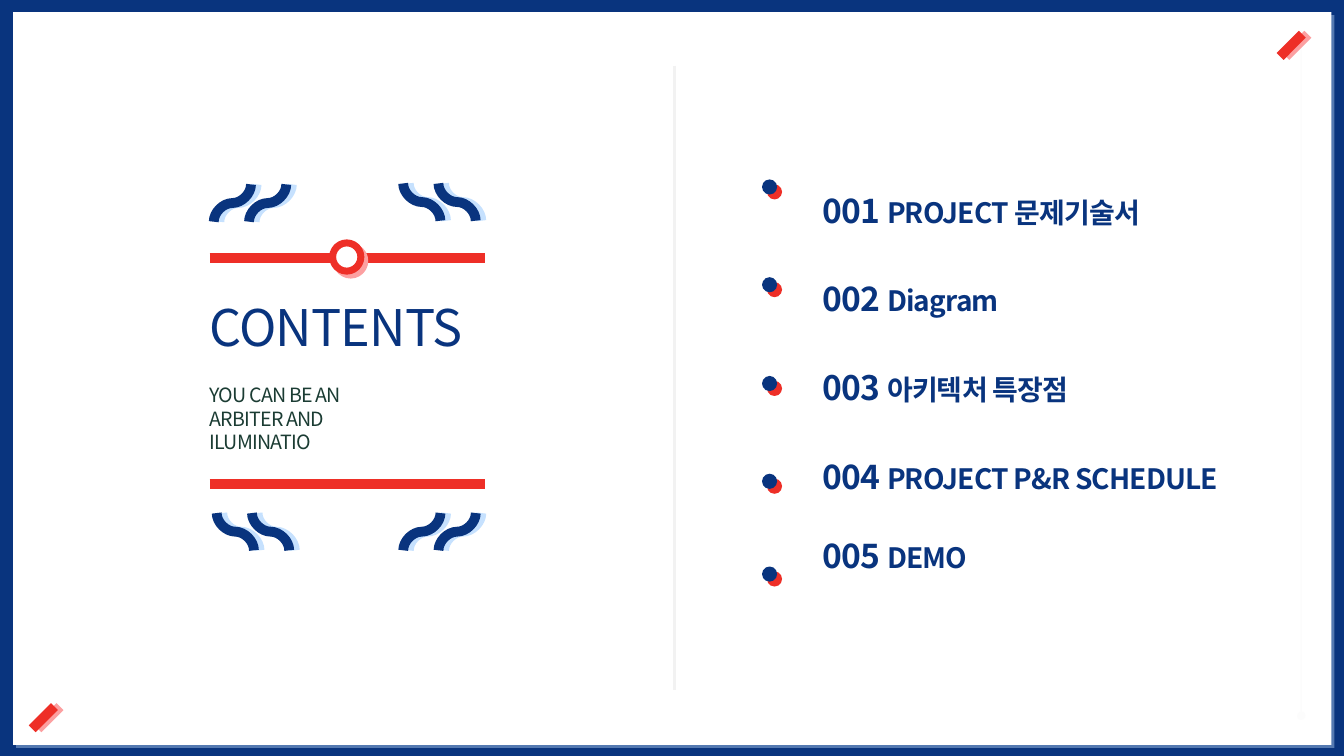
from dataclasses import dataclass
from typing import NamedTuple

from pptx import Presentation
from pptx.dml.color import RGBColor
from pptx.enum.shapes import MSO_CONNECTOR, MSO_SHAPE
from pptx.enum.text import MSO_ANCHOR, PP_ALIGN
from pptx.oxml.ns import qn
from pptx.oxml.xmlchemy import OxmlElement
from pptx.util import Emu, Pt

STRAIGHT, CURVE = MSO_CONNECTOR.STRAIGHT, MSO_CONNECTOR.CURVE
RECT, OVAL = MSO_SHAPE.RECTANGLE, MSO_SHAPE.OVAL
MIDDLE, LEFT, JUSTIFY = MSO_ANCHOR.MIDDLE, PP_ALIGN.LEFT, PP_ALIGN.JUSTIFY

NAVY = RGBColor(0x09, 0x34, 0x7E)
RED = RGBColor(0xEE, 0x2F, 0x27)
PINK = RGBColor(0xFC, 0xA0, 0xA1)
SKY = RGBColor(0xC6, 0xE1, 0xFE)
GREY = RGBColor(0xF2, 0xF2, 0xF2)
GREEN = RGBColor(0x1B, 0x3C, 0x33)
WHITE = RGBColor(0xFF, 0xFF, 0xFF)

FONT = "Noto Sans CJK KR"
PX = 9144  # 100 px to the inch
CURL = 37  # side of one curl
DOT = 15


class Shadow(NamedTuple):
    color: RGBColor
    dist: int
    angle: int = 0
    alpha: int = 100


@dataclass
class Line:
    x1: int
    y1: int
    x2: int
    y2: int
    color: RGBColor = RED
    width: float = 7
    shadow: Shadow | None = None
    kind: int = STRAIGHT
    rotation: int = 0
    alpha: int = 100
    ends: str = ""


@dataclass
class Shape:
    kind: int
    x: int
    y: int
    w: int
    h: int
    fill: RGBColor
    shadow: Shadow
    outline: RGBColor | None = None


@dataclass
class Run:
    text: str
    size: int
    color: RGBColor
    bold: bool = False


@dataclass
class Paragraph:
    runs: list[Run]
    align: int = JUSTIFY
    before: float = 0


def px(n: int) -> Emu:
    return Emu(n * PX)


def child(parent, tag: str, **attrs):
    el = OxmlElement(tag)
    for key, value in attrs.items():
        el.set(key, str(value))
    parent.append(el)
    return el


def add_shadow(effects, shadow: Shadow) -> None:
    outer = child(effects, "a:outerShdw", blurRad=0, dist=Pt(shadow.dist),
                  dir=shadow.angle * 60000, algn="tl", rotWithShape=0)
    color = child(outer, "a:srgbClr", val=shadow.color)
    child(color, "a:alpha", val=shadow.alpha * 1000)


def draw_line(s, line: Line) -> None:
    c = s.shapes.add_connector(line.kind, px(line.x1), px(line.y1), px(line.x2), px(line.y2))
    c.line.color.rgb = line.color
    c.line.width = Pt(line.width)
    sp_pr = c._element.spPr
    ln = sp_pr.find(qn("a:ln"))
    if line.rotation:
        sp_pr.find(qn("a:xfrm")).set("rot", str(line.rotation * 60000))
    if line.alpha < 100:
        child(ln.find(".//" + qn("a:srgbClr")), "a:alpha", val=line.alpha * 1000)
    if line.ends:
        for tag in ("a:headEnd", "a:tailEnd"):
            child(ln, tag, type=line.ends)
    effects = child(sp_pr, "a:effectLst")
    if line.shadow:
        add_shadow(effects, line.shadow)


def draw_curl(s, x: int, y: int, rising: bool) -> None:
    """An S-curve that leaves and arrives vertically."""
    x1, x2, rotation = (x, x + CURL, 90) if rising else (x + CURL, x, 270)
    draw_line(s, Line(x1, y, x2, y + CURL, NAVY, shadow=Shadow(SKY, 4),
                      kind=CURVE, rotation=rotation))


def draw_shape(s, shape: Shape) -> None:
    sp = s.shapes.add_shape(shape.kind, px(shape.x), px(shape.y), px(shape.w), px(shape.h))
    sp.shadow.inherit = False
    sp.fill.solid()
    sp.fill.fore_color.rgb = shape.fill
    if shape.outline is None:
        sp.line.fill.background()
    else:
        sp.line.color.rgb = shape.outline
        sp.line.width = Pt(5)
    add_shadow(sp._element.spPr.find(qn("a:effectLst")), shape.shadow)


def draw_text(s, x: int, y: int, w: int, h: int, paragraphs: list[Paragraph]) -> None:
    tf = s.shapes.add_textbox(px(x), px(y), px(w), px(h)).text_frame
    frame = {"word_wrap": True, "vertical_anchor": MIDDLE, "margin_left": 0,
             "margin_top": 0, "margin_right": 0, "margin_bottom": 0}
    for name, value in frame.items():
        setattr(tf, name, value)
    for i, item in enumerate(paragraphs):
        p = tf.add_paragraph() if i else tf.paragraphs[0]
        p.alignment = item.align
        p.line_spacing = 1.0
        p.space_before = Pt(item.before)
        for run in item.runs:
            r = p.add_run()
            r.text = run.text
            for name, value in {"name": FONT, "size": Pt(run.size), "bold": run.bold}.items():
                setattr(r.font, name, value)
            r.font.color.rgb = run.color
            r_pr = r._r.get_or_add_rPr()
            r_pr.set("spc", "-60")
            child(r_pr, "a:ea", typeface=FONT)


def main() -> None:
    prs = Presentation()
    prs.slide_width, prs.slide_height = Emu(12192000), Emu(6858000)
    s = prs.slides.add_slide(prs.slide_layouts[6])
    s.background.fill.solid()
    s.background.fill.fore_color.rgb = NAVY

    # Page, title rules and dividers
    draw_shape(s, Shape(RECT, 13, 12, 1308, 727, WHITE, Shadow(SKY, 3, 45, 40)))
    for y in (480, 256):
        draw_line(s, Line(208, y, 481, y))
    draw_shape(s, Shape(OVAL, 330, 241, 28, 28, WHITE, Shadow(PINK, 4, 45), RED))
    draw_line(s, Line(1291, 34, 1291, 710, GREY, 1, alpha=22, ends="oval"))
    draw_line(s, Line(669, 65, 669, 685, GREY, 2.5))

    # Pairs of curls around the title
    for x, y, rising in ((400, 509, True), (212, 183, True),
                         (400, 182, False), (215, 509, False)):
        for step in (35, 0):
            draw_curl(s, x + step, y, rising)

    # Title and subtitle
    draw_text(s, 208, 293, 273, 62, [Paragraph([Run("CONTENTS", 36, NAVY)])])
    subtitle = ("YOU CAN BE AN", "ARBITER AND", "ILUMINATIO")
    draw_text(s, 208, 398, 273, 34,
              [Paragraph([Run(text, 14, GREEN)]) for text in subtitle])

    # Contents list with bullet dots
    topics = (("PROJECT 문제기술서", 178, 0), ("Diagram", 275, 34.5),
              ("아키텍처 특장점", 373, 34.5), ("PROJECT P&R SCHEDULE", 470, 34.5),
              ("DEMO", 562, 28))
    draw_text(s, 816, 191, 413, 377,
              [Paragraph([Run(f"{n:03} ", 24, NAVY, True), Run(topic, 20, NAVY, True)],
                         LEFT, before)
               for n, (topic, _, before) in enumerate(topics, 1)])
    for _, y, _ in topics:
        draw_shape(s, Shape(OVAL, 756, y, DOT, DOT, NAVY, Shadow(RED, 5, 45)))

    # Corner dashes
    for x, y in ((1270, 34), (32, 701)):
        draw_line(s, Line(x + 22, y, x, y + 22, shadow=Shadow(PINK, 4)))

    prs.save("out.pptx")


if __name__ == "__main__":
    main()
